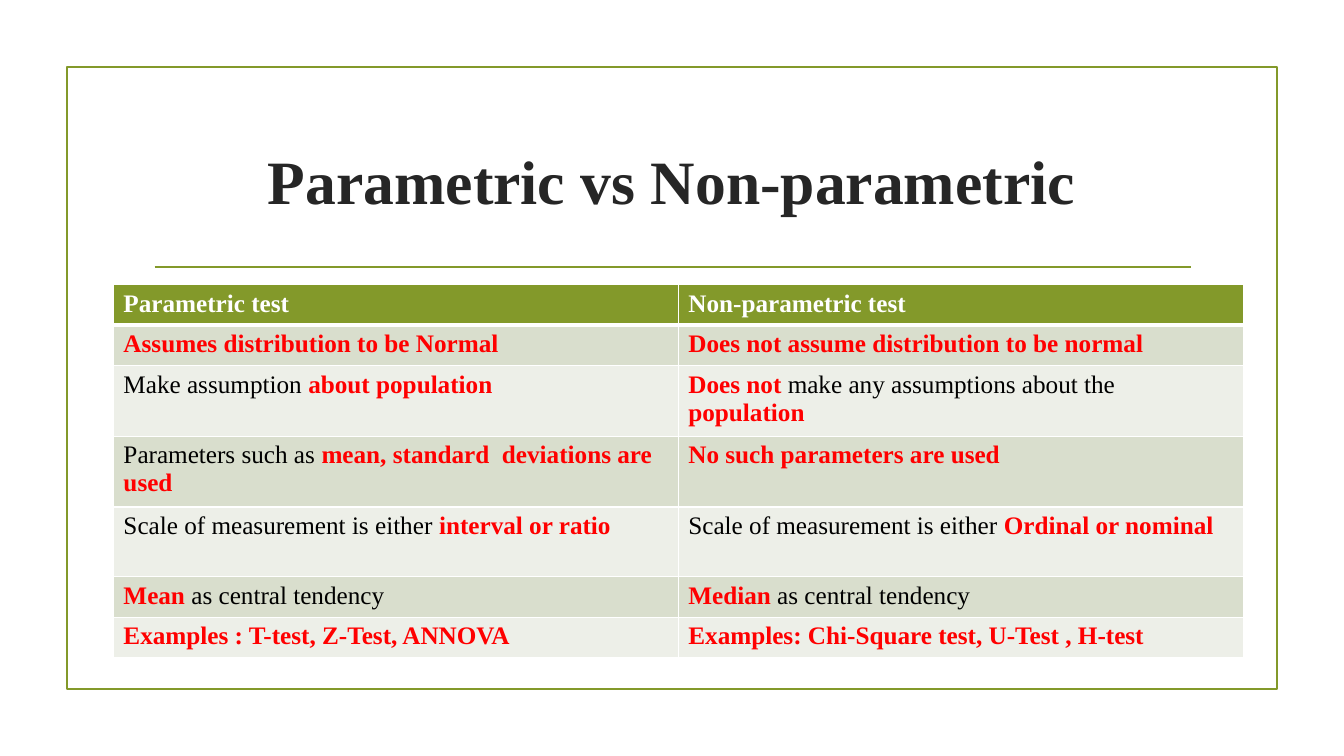
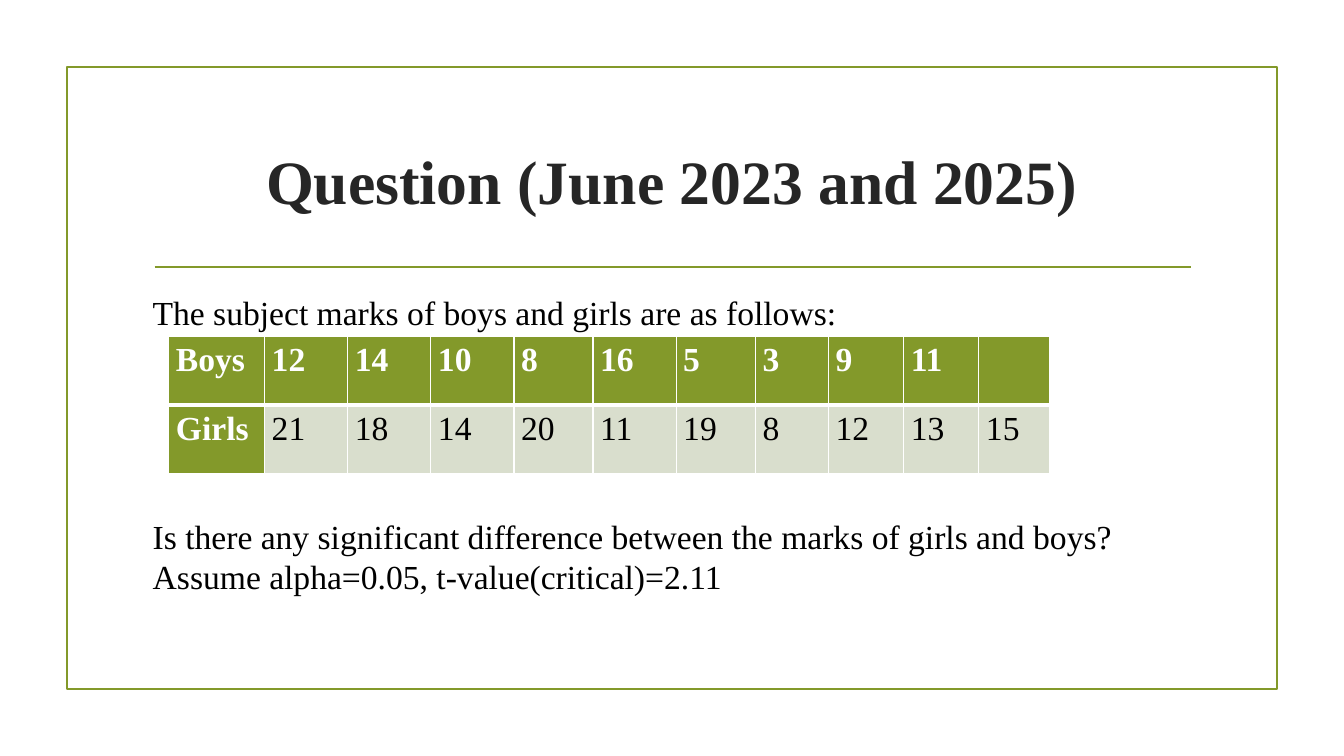
import collections

import lxml.etree
import pptx
import pptx.dml.color
import pptx.enum.shapes
import pptx.enum.text
import pptx.oxml.ns
import pptx.util

# The page is a grid of square units, 160 columns by 90 rows
COLUMNS, ROWS = 160, 90
UNIT = pptx.util.Inches(1 / 12)

FONT = "Times New Roman"
GREEN = pptx.dml.color.RGBColor(0x83, 0x99, 0x2A)
SAGE = pptx.dml.color.RGBColor(0xD9, 0xDE, 0xCD)
PALE = pptx.dml.color.RGBColor(0xED, 0xEF, 0xE8)
WHITE = pptx.dml.color.RGBColor(0xFF, 0xFF, 0xFF)
BLACK = pptx.dml.color.RGBColor(0x00, 0x00, 0x00)
RED = pptx.dml.color.RGBColor(0xFF, 0x00, 0x00)
CHARCOAL = pptx.dml.color.RGBColor(0x26, 0x26, 0x26)

Box = collections.namedtuple("Box", "left top width height")

FRAME = Box(8, 8, COLUMNS - 16, ROWS - 16)
TITLE = Box(17, 12.8, 126, 17.2)
RULE = Box(18.4, 31.8, 123.4, 0)
BODY = Box(17, 34.2, 126, 43.6)
COMPARISON = Box(13.5, 33.9, 134.5, 44.1)
MARKS = Box(20.1, 40, 104.9, 16.4)

# Asterisks enclose the emphasised words
COMPARISON_ROWS = [
    ("Parametric test", "Non-parametric test"),
    ("*Assumes distribution to be Normal*",
     "*Does not assume distribution to be normal*"),
    ("Make assumption *about population*",
     "*Does not *make any assumptions about the *population*"),
    ("Parameters such as *mean, standard  deviations are used*",
     "*No such parameters are used*"),
    ("Scale of measurement is either *interval or ratio*",
     "Scale of measurement is either *Ordinal or nominal*"),
    ("*Mean* as central tendency", "*Median* as central tendency"),
    ("*Examples : T-test, Z-Test, ANNOVA*",
     "*Examples: Chi-Square test, U-Test , H-test*"),
]
SHORT_ROW, TALL_ROW = 4.82, 8.3
COMPARISON_HEIGHTS = [SHORT_ROW] * 2 + [TALL_ROW] * 3 + [SHORT_ROW] * 2

MARKS_ROWS = [
    ("Boys", "12", "14", "10", "8", "16", "5", "3", "9", "11", ""),
    ("Girls", "21", "18", "14", "20", "11", "19", "8", "12", "13", "15"),
]
MARKS_WIDTHS = [11.4, 9.9, 9.9, 9.9, 9.4, 9.9, 9.45, 8.7, 8.95, 8.95, 8.45]


def units(count):
    return pptx.util.Emu(round(count * UNIT))


def place(box):
    return [units(length) for length in box]


def write(para, text, size=24, color=BLACK, bold=False, align=None,
          before=0, after=0, spacing=1.0):
    """Fill a paragraph; words between asterisks become bold and red."""
    para.alignment = align
    para.space_before = pptx.util.Pt(before)
    para.space_after = pptx.util.Pt(after)
    para.line_spacing = spacing
    for index, part in enumerate(text.split("*")):
        if not part:
            continue
        emphasised = index % 2 == 1
        span = para.add_run()
        span.text = part
        span.font.name = FONT
        span.font.size = pptx.util.Pt(size)
        span.font.bold = bold or emphasised
        span.font.color.rgb = RED if emphasised else color


def add_text_frame(page, box, anchor):
    frame = page.shapes.add_textbox(*place(box)).text_frame
    frame.word_wrap = True
    frame.vertical_anchor = anchor
    return frame


def set_borders(cell, **widths):
    """Draw white cell borders, 1 pt unless a side is given a width."""
    properties = cell._tc.get_or_add_tcPr()
    for side in ("lnL", "lnR", "lnT", "lnB"):
        width = pptx.util.Pt(widths.get(side, 1))
        line = lxml.etree.SubElement(
            properties, pptx.oxml.ns.qn("a:" + side), w=str(int(width)))
        fill = lxml.etree.SubElement(line, pptx.oxml.ns.qn("a:solidFill"))
        lxml.etree.SubElement(
            fill, pptx.oxml.ns.qn("a:srgbClr"), val=str(WHITE))


def add_grid(page, box, rows, widths, heights, header_column=False,
             margins=None, **text_format):
    """Place a banded table with a green header row."""
    table = page.shapes.add_table(len(rows), len(widths), *place(box)).table
    table.first_row = table.horz_banding = False
    for column, width in zip(table.columns, widths):
        column.width = units(width)
    for row, height in zip(table.rows, heights):
        row.height = units(height)
    for row_index, texts in enumerate(rows):
        for column_index, text in enumerate(texts):
            cell = table.cell(row_index, column_index)
            is_header = row_index == 0 or header_column and column_index == 0
            set_borders(cell, lnT=3 if row_index == 1 else 1,
                        lnB=3 if row_index == 0 else 1)
            cell.fill.solid()
            cell.fill.fore_color.rgb = (
                GREEN if is_header else SAGE if row_index % 2 else PALE)
            if margins:
                cell.margin_left = cell.margin_right = units(margins[0])
                cell.margin_top = cell.margin_bottom = units(margins[1])
            write(cell.text_frame.paragraphs[0], text, bold=is_header,
                  color=WHITE if is_header else BLACK, **text_format)


def add_page(deck, title):
    """Start a slide with the shared frame, rule and title."""
    page = deck.slides.add_slide(deck.slide_layouts[6])

    # Outer frame
    frame = page.shapes.add_shape(
        pptx.enum.shapes.MSO_SHAPE.RECTANGLE, *place(FRAME))
    frame.shadow.inherit = False
    frame.fill.background()

    # Rule under the title
    left, top, width, height = place(RULE)
    rule = page.shapes.add_connector(
        pptx.enum.shapes.MSO_CONNECTOR.STRAIGHT,
        left, top, left + width, top + height)
    lxml.etree.SubElement(
        rule._element.spPr, pptx.oxml.ns.qn("a:effectLst"))
    for shape in (frame, rule):
        shape.line.color.rgb = GREEN
        shape.line.width = pptx.util.Pt(1.25)

    # Title
    title_frame = add_text_frame(
        page, TITLE, pptx.enum.text.MSO_ANCHOR.MIDDLE)
    write(title_frame.paragraphs[0], title, size=44, color=CHARCOAL,
          bold=True, align=pptx.enum.text.PP_ALIGN.CENTER)
    return page


def add_comparison(page, box):
    add_grid(page, box, COMPARISON_ROWS, [box.width / 2] * 2,
             COMPARISON_HEIGHTS, size=18)


def add_question(page, box):
    """The question text leaves a gap in which the marks table sits."""
    frame = add_text_frame(page, box, pptx.enum.text.MSO_ANCHOR.TOP)
    write(frame.paragraphs[0],
          "The subject marks of boys and girls are as follows:")
    write(frame.add_paragraph(),
          "Is there any significant difference between the marks of girls "
          "and boys? Assume alpha=0.05, t-value(critical)=2.11", before=131)


def add_marks(page, box):
    add_grid(page, box, MARKS_ROWS, MARKS_WIDTHS, [box.height / 2] * 2,
             header_column=True, margins=(0.85, 0), after=8, spacing=1.15)


def main():
    deck = pptx.Presentation()
    deck.slide_width, deck.slide_height = units(COLUMNS), units(ROWS)

    add_comparison(add_page(deck, "Parametric vs Non-parametric"), COMPARISON)

    question_page = add_page(deck, "Question (June 2023 and 2025)")
    add_question(question_page, BODY)
    add_marks(question_page, MARKS)

    deck.save("out.pptx")


if __name__ == "__main__":
    main()
